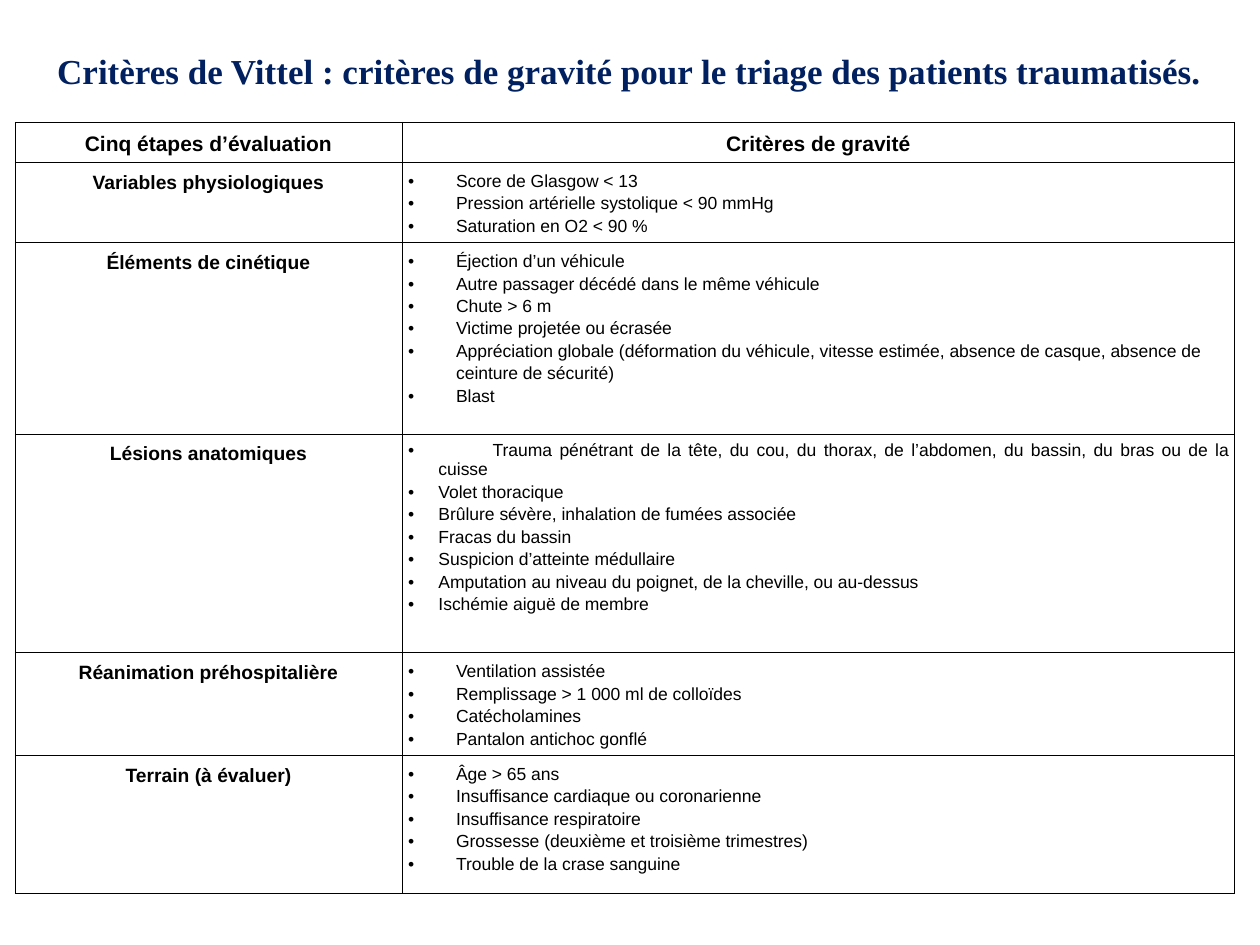
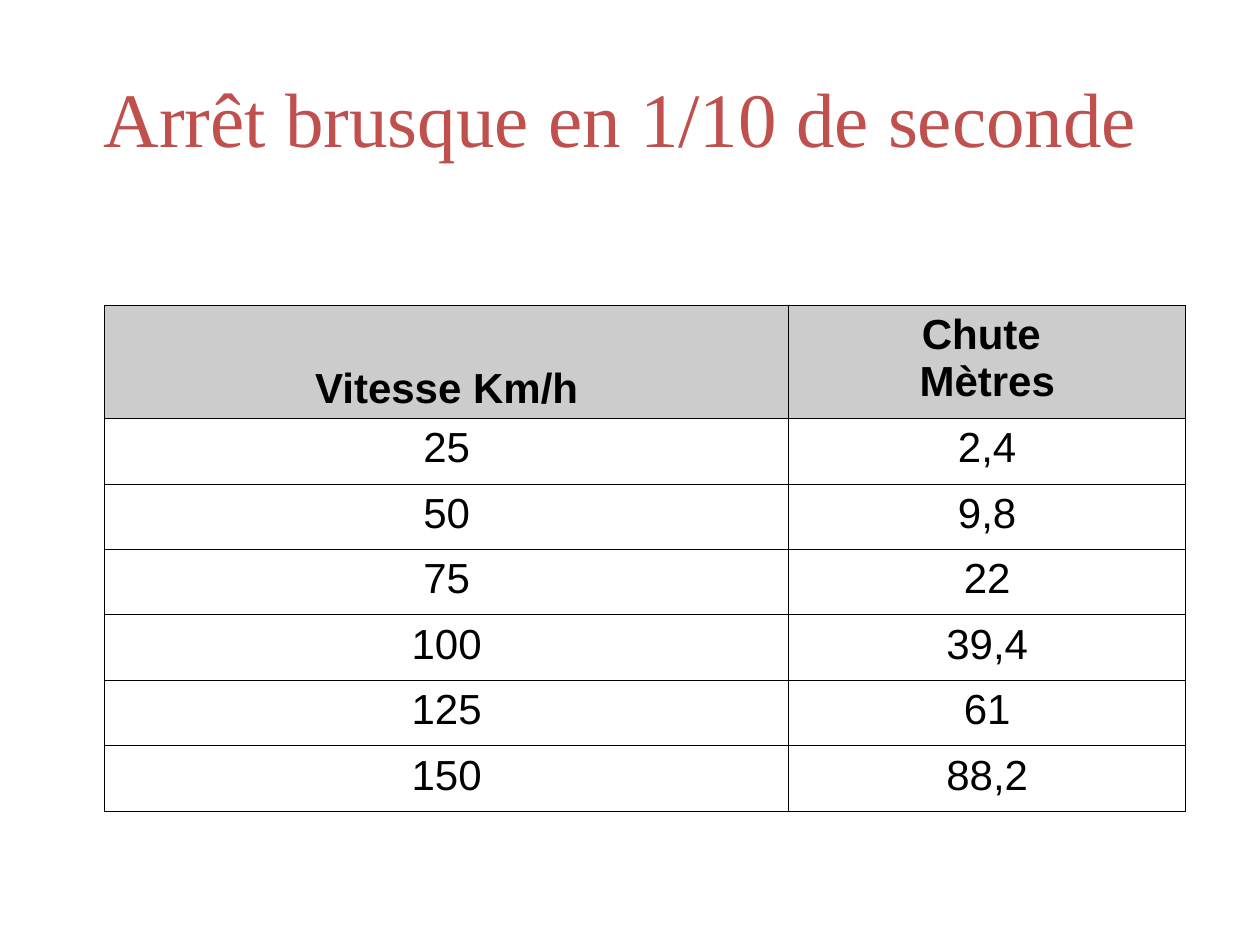
"""Build two slides on trauma triage: the Vittel criteria and the speed to fall table."""
from dataclasses import dataclass
from itertools import product

from lxml.etree import SubElement
from pptx import Presentation
from pptx.dml.color import RGBColor
from pptx.enum.text import MSO_ANCHOR, PP_ALIGN
from pptx.oxml import parse_xml
from pptx.oxml.ns import nsdecls, qn
from pptx.util import Inches, Pt

BLACK = RGBColor(0x00, 0x00, 0x00)
NAVY = RGBColor(0x00, 0x20, 0x60)
BRICK = RGBColor(0xC0, 0x50, 0x4D)
GREY = RGBColor(0xCC, 0xCC, 0xCC)

SLIDE_W, SLIDE_H = Inches(10), Inches(7.5)
UNIT = SLIDE_W // 100
BORDER = Pt(0.45)
HANGING = 3.8
SHORT_HANGING = 2.4
TRAUMA_TAB = 6.7
LEADING = 1.15


def grid(n: float) -> int:
    """Turn grid units, each a hundredth of the slide's width, into a length."""
    return round(n * UNIT)


@dataclass(frozen=True)
class Box:
    """Place on the grid."""
    left: float
    top: float
    width: float
    height: float


@dataclass(frozen=True)
class Format:
    """Look of a paragraph."""
    size: float
    bold: bool = False
    color: RGBColor = BLACK
    name: str = "Arial"
    align: PP_ALIGN = PP_ALIGN.CENTER
    leading: float = 1.0
    hanging: float = 0
    tab: float = 0


@dataclass(frozen=True)
class Cell:
    """Content of one table cell."""
    lines: tuple
    formats: tuple
    fill: RGBColor | None = None
    anchor: MSO_ANCHOR = MSO_ANCHOR.TOP


@dataclass(frozen=True)
class Step:
    """One evaluation step with its severity criteria."""
    name: str
    height: float
    criteria: tuple
    formats: tuple


HEADING = Format(12, True, leading=LEADING)
STEP_NAME = Format(11, True, leading=LEADING)
BULLET = Format(10, align=PP_ALIGN.LEFT, leading=LEADING, hanging=HANGING)
LESION = Format(10, align=PP_ALIGN.JUSTIFY, leading=LEADING, hanging=SHORT_HANGING)
TRAUMA = Format(10, align=PP_ALIGN.JUSTIFY, hanging=SHORT_HANGING, tab=TRAUMA_TAB)
SPEED_HEADING = Format(24, True)
SPEED_VALUE = Format(24)

STEPS = (
    Step("Variables physiologiques", 6.35, (
        "Score de Glasgow < 13",
        "Pression artérielle systolique < 90 mmHg",
        "Saturation en O2 < 90 %"), (BULLET,)),
    Step("Éléments de cinétique", 15.2, (
        "Éjection d’un véhicule",
        "Autre passager décédé dans le même véhicule",
        "Chute > 6 m",
        "Victime projetée ou écrasée",
        "Appréciation globale (déformation du véhicule, vitesse estimée, "
        "absence de casque, absence de ceinture de sécurité)",
        "Blast"), (BULLET,)),
    Step("Lésions anatomiques", 17.35, (
        "\tTrauma pénétrant de la tête, du cou, du thorax, de l’abdomen, "
        "du bassin, du bras ou de la cuisse",
        "Volet thoracique",
        "Brûlure sévère, inhalation de fumées associée",
        "Fracas du bassin",
        "Suspicion d’atteinte médullaire",
        "Amputation au niveau du poignet, de la cheville, ou au-dessus",
        "Ischémie aiguë de membre"), (TRAUMA, LESION)),
    Step("Réanimation préhospitalière", 8.1, (
        "Ventilation assistée",
        "Remplissage > 1 000 ml de colloïdes",
        "Catécholamines",
        "Pantalon antichoc gonflé"), (BULLET,)),
    Step("Terrain (à évaluer)", 11, (
        "Âge > 65 ans",
        "Insuffisance cardiaque ou coronarienne",
        "Insuffisance respiratoire",
        "Grossesse (deuxième et troisième trimestres)",
        "Trouble de la crase sanguine"), (BULLET,)),
)

SPEEDS = (("25", "2,4"), ("50", "9,8"), ("75", "22"),
          ("100", "39,4"), ("125", "61"), ("150", "88,2"))


def add_list_marks(p, fmt: Format) -> None:
    """Give a paragraph its hanging bullet and its tab stop."""
    pPr = p._p.get_or_add_pPr()
    if fmt.hanging:
        pPr.set("marL", str(grid(fmt.hanging)))
        pPr.set("indent", str(-grid(fmt.hanging)))
        color = SubElement(pPr, qn("a:buClr"))
        SubElement(color, qn("a:srgbClr"), val=str(BLACK))
        SubElement(pPr, qn("a:buFont"), typeface=fmt.name)
        SubElement(pPr, qn("a:buChar"), char="•")
    if fmt.tab:
        tabs = SubElement(pPr, qn("a:tabLst"))
        SubElement(tabs, qn("a:tab"), pos=str(grid(fmt.tab)), algn="l")


def write(tf, lines: tuple, formats: tuple) -> None:
    """Write one paragraph a line; the last format serves all remaining lines."""
    for i, line in enumerate(lines):
        fmt = formats[min(i, len(formats) - 1)]
        p = tf.paragraphs[0] if i == 0 else tf.add_paragraph()
        add_list_marks(p, fmt)
        p.alignment, p.line_spacing = fmt.align, fmt.leading
        r = p.add_run()
        r.text = line
        look = {"size": Pt(fmt.size), "bold": fmt.bold, "name": fmt.name}
        for key, value in look.items():
            setattr(r.font, key, value)
        r.font.color.rgb = fmt.color


def add_title(s, text: str, box: Box, fmt: Format, wrap: bool) -> None:
    """Add a centred slide title."""
    sp = s.shapes.add_textbox(*map(grid, (box.left, box.top, box.width, box.height)))
    tf = sp.text_frame
    tf.word_wrap, tf.vertical_anchor = wrap, MSO_ANCHOR.MIDDLE
    write(tf, (text,), (fmt,))


def add_borders(cell) -> None:
    """Draw a thin black line on each side of a cell."""
    tcPr = cell._tc.get_or_add_tcPr()
    for i, side in enumerate(("lnL", "lnR", "lnT", "lnB")):
        tcPr.insert(i, parse_xml(
            f'<a:{side} {nsdecls("a")} w="{BORDER}"><a:solidFill>'
            f'<a:srgbClr val="{BLACK}"/></a:solidFill></a:{side}>'))


def add_grid_table(s, left: float, top: float, widths: tuple, heights: tuple,
                   rows: list, side_inset: float) -> None:
    """Add a bordered table from rows of cells."""
    box = (left, top, sum(widths), sum(heights))
    table = s.shapes.add_table(len(heights), len(widths), *map(grid, box)).table
    table.first_row = table.horz_banding = False
    for column, width in zip(table.columns, widths):
        column.width = grid(width)
    for row, height in zip(table.rows, heights):
        row.height = grid(height)
    for i, j in product(range(len(heights)), range(len(widths))):
        cell, content = table.cell(i, j), rows[i][j]
        look = {"margin_left": grid(side_inset), "margin_right": grid(side_inset),
                "margin_top": grid(0.5), "margin_bottom": grid(0.5),
                "vertical_anchor": content.anchor}
        for key, value in look.items():
            setattr(cell, key, value)
        if content.fill is None:
            cell.fill.background()
        else:
            cell.fill.solid()
            cell.fill.fore_color.rgb = content.fill
        add_borders(cell)
        write(cell.text_frame, content.lines, content.formats)


def build_vittel(s) -> None:
    """Draw the Vittel criteria slide."""
    rows = [[Cell((text,), (HEADING,))
             for text in ("Cinq étapes d’évaluation", "Critères de gravité")]]
    rows += [[Cell((step.name,), (STEP_NAME,)), Cell(step.criteria, step.formats)]
             for step in STEPS]
    heights = (3.2, *(step.height for step in STEPS))
    add_grid_table(s, 1.2, 9.7, (30.7, 66.1), heights, rows, 0.5)
    add_title(s, "Critères de Vittel : critères de gravité pour le triage "
                 "des patients traumatisés.", Box(3.4, 3.4, 93.1, 4.4),
              Format(20, True, NAVY, "Times New Roman"), False)


def build_speeds(s) -> None:
    """Draw the sudden stop slide."""
    add_title(s, "Arrêt brusque en 1/10 de seconde ", Box(5, 3, 90, 12.5),
              Format(44, False, BRICK, "Times New Roman"), True)
    rows = [[Cell(("Vitesse Km/h",), (SPEED_HEADING,), GREY, MSO_ANCHOR.BOTTOM),
             Cell(("Chute ", "Mètres"), (SPEED_HEADING,), GREY)]]
    rows += [[Cell((value,), (SPEED_VALUE,)) for value in pair] for pair in SPEEDS]
    heights = (9, *[5.2] * len(SPEEDS))
    add_grid_table(s, 8.3, 24.2, (54.3, 31.5), heights, rows, 1)


def main() -> None:
    """Build and save the presentation."""
    prs = Presentation()
    prs.slide_width, prs.slide_height = SLIDE_W, SLIDE_H
    for build in (build_vittel, build_speeds):
        build(prs.slides.add_slide(prs.slide_layouts[6]))
    prs.save("out.pptx")


if __name__ == "__main__":
    main()
